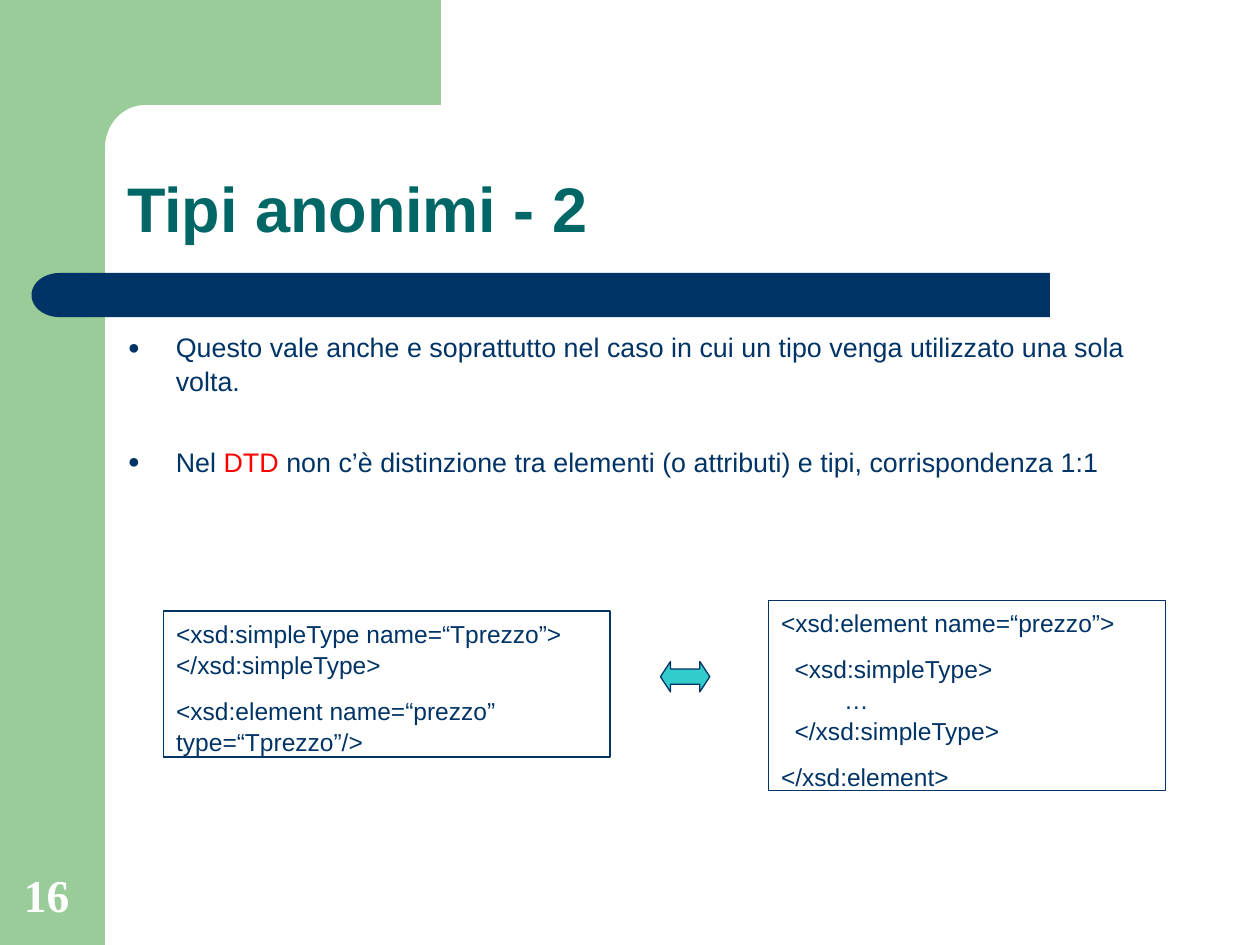
from math import cos, pi, sin

from lxml import etree
from pptx import Presentation
from pptx.dml.color import RGBColor
from pptx.enum.shapes import MSO_SHAPE
from pptx.enum.text import MSO_ANCHOR
from pptx.oxml.ns import qn
from pptx.util import Inches, Pt

RECT, DELAY = MSO_SHAPE.RECTANGLE, MSO_SHAPE.FLOWCHART_DELAY
ARROW = MSO_SHAPE.LEFT_RIGHT_ARROW
TOP, BOTTOM = MSO_ANCHOR.TOP, MSO_ANCHOR.BOTTOM
HUES = {"green": "99CC99", "navy": "003366", "teal": "006666",
        "aqua": "33CCCC", "red": "FF0000", "white": "FFFFFF"}
COLS, ROWS = 120, 90
UNIT = Inches(10) // COLS
BAND = 10

POINTS = [
    [("Questo vale anche e soprattutto nel caso in cui un tipo venga "
      "utilizzato una sola volta.", "navy")],
    [("Nel ", "navy"), ("DTD", "red"),
     (" non c’è distinzione tra elementi (o attributi) e tipi, "
      "corrispondenza 1:1", "navy")],
]
NAMED = [["<xsd:simpleType name=“Tprezzo”>", "</xsd:simpleType>"],
         ["<xsd:element name=“prezzo” type=“Tprezzo”/>"]]
NESTED = [["<xsd:element name=“prezzo”>"],
          ["  <xsd:simpleType>", "\t…", "  </xsd:simpleType>"],
          ["</xsd:element>"]]


def span(*cells):
    return [round(cell * UNIT) for cell in cells]


def tint(hue):
    return RGBColor.from_string(HUES[hue])


def paint(shape, fill=None, line=None):
    shape.shadow.inherit = False
    if fill:
        shape.fill.solid()
        shape.fill.fore_color.rgb = tint(fill)
    else:
        shape.fill.background()
    if line:
        shape.line.color.rgb = tint(line)
        shape.line.width = Pt(0.75)
    else:
        shape.line.fill.background()


def block(slide, kind, box, fill=None, line=None):
    shape = slide.shapes.add_shape(kind, *span(*box))
    paint(shape, fill, line)
    return shape


def frame(shape, anchor=TOP):
    text = shape.text_frame
    text.word_wrap = True
    text.vertical_anchor = anchor
    text.margin_left = text.margin_right = Inches(0.1)
    text.margin_top = text.margin_bottom = Inches(0.05)
    return text


def write(para, words, size, hue, face="Arial", bold=False):
    run = para.add_run()
    run.text = words
    font = run.font
    font.name, font.size, font.bold = face, Pt(size), bold
    font.color.rgb = tint(hue)


def stack(text, count, gap):
    """Yield count paragraphs, with a gap before all but the first."""
    for i in range(count):
        para = text.add_paragraph() if i else text.paragraphs[0]
        para.line_spacing = 1.05
        para.space_before = Pt(gap if i else 0)
        yield para


def bullet(para):
    props = para._p.get_or_add_pPr()
    props.set("marL", str(Inches(0.38)))
    props.set("indent", str(-Inches(0.38)))
    hue = etree.SubElement(props, qn("a:buClr"))
    etree.SubElement(hue, qn("a:srgbClr"), val=HUES["navy"])
    etree.SubElement(props, qn("a:buSzPct"), val="75000")
    etree.SubElement(props, qn("a:buFont"), typeface="Arial")
    etree.SubElement(props, qn("a:buChar"), char="●")


def corner(slide, box):
    """Draw the top band, with a rounded inner corner at its lower left."""
    left, top, wide, high = box
    right, base = left + wide, top + BAND
    curve = [(BAND + 3.8 * (1 - sin(t)), base + 4.1 * (1 - cos(t)))
             for t in (i * pi / 32 for i in range(17))]
    path = [(right, top), (right, base), *curve,
            (BAND, top + high), (left, top + high), (left, top)]
    dots = [span(*dot) for dot in path]
    build = slide.shapes.build_freeform(*dots[0])
    build.add_line_segments(dots[1:], close=True)
    paint(build.convert_to_shape(), "green")


def bar(slide, box):
    left, top, wide, high = box
    cap = 5.2
    block(slide, RECT, (left + cap, top, wide - cap, high), "navy")
    block(slide, DELAY, (left, top, cap + 0.1, high), "navy").rotation = 180


def head(slide, box):
    title = slide.shapes.title
    title.left, title.top, title.width, title.height = span(*box)
    para = frame(title, BOTTOM).paragraphs[0]
    para.alignment = 1
    para.line_spacing = 0.9
    write(para, "Tipi anonimi - 2", 36, "teal", bold=True)


def body(slide, box):
    text = frame(slide.shapes.add_textbox(*span(*box)))
    for para, runs in zip(stack(text, len(POINTS), 27), POINTS):
        bullet(para)
        for words, hue in runs:
            write(para, words, 15.3, hue)


def code(slide, box, parts):
    text = frame(block(slide, RECT, box, line="navy"))
    for para, lines in zip(stack(text, len(parts), 8.8), parts):
        para.alignment = 1
        for i, line in enumerate(lines):
            if i:
                para.add_line_break()
            write(para, line, 14, "navy")


def number(slide, box):
    text = frame(slide.shapes.add_textbox(*span(*box)), BOTTOM)
    write(text.paragraphs[0], "16", 26, "white", "Times New Roman", True)


def main():
    deck = Presentation()
    deck.slide_width, deck.slide_height = span(COLS, ROWS)
    slide = deck.slides.add_slide(deck.slide_layouts[5])
    block(slide, RECT, (0, 0, BAND, ROWS), "green")
    corner(slide, (6, 0, 36, 15.4))
    bar(slide, (3, 26, 97, 4.2))
    head(slide, (10.9, 10.9, 104.8, 13.1))
    body(slide, (11, 30.8, 102.8, 17.9))
    code(slide, (73.2, 57.2, 37.8, 18.1), NESTED)
    code(slide, (15.6, 58.2, 42.5, 13.9), NAMED)
    arrow = block(slide, ARROW, (62.9, 63, 4.7, 2.9), "aqua", "navy")
    arrow.adjustments[1] = 0.33
    number(slide, (1.1, 82, 7.7, 6.4))
    deck.save("out.pptx")


if __name__ == "__main__":
    main()
